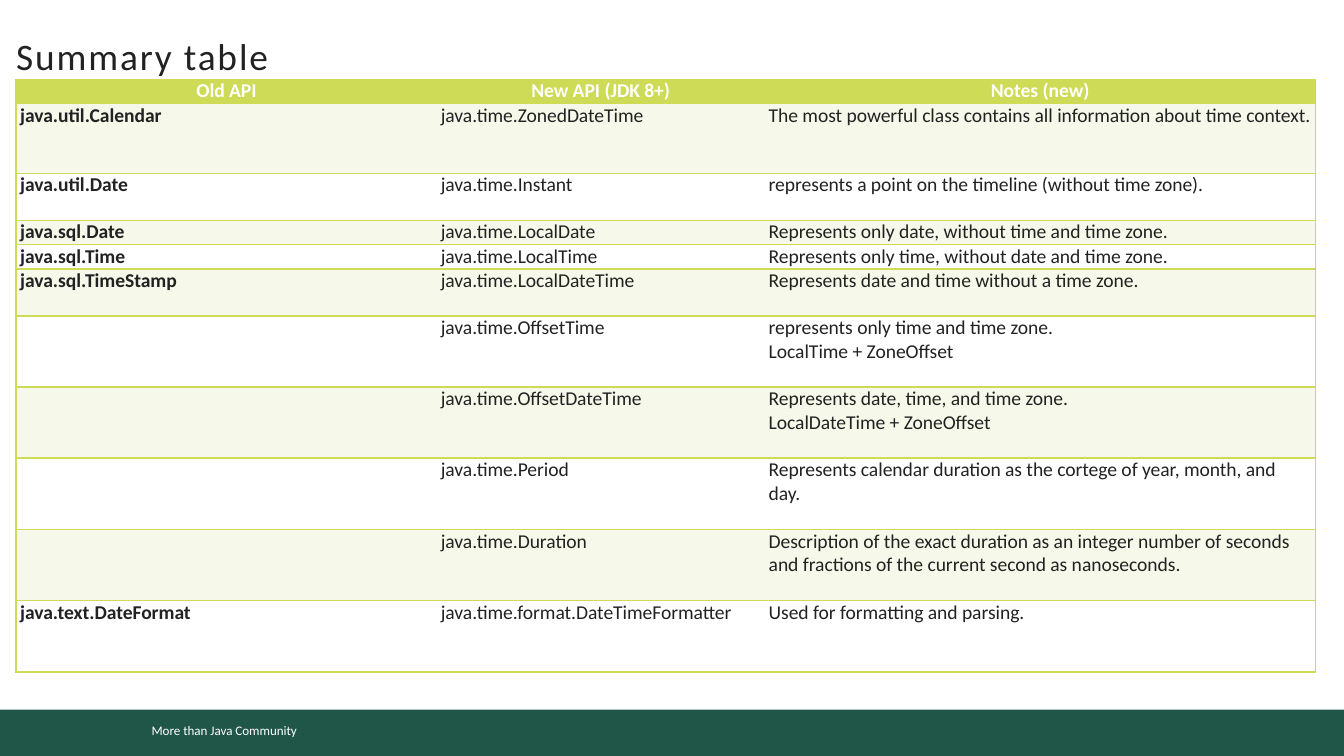
from lxml import etree
from pptx import Presentation
from pptx.dml.color import RGBColor
from pptx.enum.shapes import MSO_SHAPE
from pptx.enum.text import MSO_ANCHOR, PP_ALIGN
from pptx.oxml.ns import qn
from pptx.util import Inches, Pt

RECTANGLE = MSO_SHAPE.RECTANGLE
MIDDLE, TOP = MSO_ANCHOR.MIDDLE, MSO_ANCHOR.TOP
LEFT, CENTER = PP_ALIGN.LEFT, PP_ALIGN.CENTER

FONT = "Calibri"
WHITE = RGBColor(0xFF, 0xFF, 0xFF)
INK = RGBColor(0x22, 0x22, 0x22)
FOREST = RGBColor(0x20, 0x56, 0x48)
LIME = RGBColor(0xCE, 0xDB, 0x56)
PALE_LIME = RGBColor(0xF6, 0xF8, 0xE9)

COLUMN_WIDTHS = [3.13, 2.44, 4.1]
ONE_LINE, TWO_LINES, THREE_LINES = 0.18, 0.35, 0.53

# Row height, old API, new API, lines of the notes
ROWS = [
    (ONE_LINE, "Old API", "New API (JDK 8+)", ["Notes (new)"]),
    (0.52, "java.util.Calendar", "java.time.ZonedDateTime",
     ["The most powerful class contains all information about time context."]),
    (TWO_LINES, "java.util.Date", "java.time.Instant",
     ["represents a point on the timeline (without time zone)."]),
    (ONE_LINE, "java.sql.Date", "java.time.LocalDate",
     ["Represents only date, without time and time zone."]),
    (ONE_LINE, "java.sql.Time", "java.time.LocalTime",
     ["Represents only time, without date and time zone."]),
    (TWO_LINES, "java.sql.TimeStamp", "java.time.LocalDateTime",
     ["Represents date and time without a time zone."]),
    (THREE_LINES, "", "java.time.OffsetTime",
     ["represents only time and time zone.", "LocalTime + ZoneOffset"]),
    (THREE_LINES, "", "java.time.OffsetDateTime",
     ["Represents date, time, and time zone.", "LocalDateTime + ZoneOffset"]),
    (THREE_LINES, "", "java.time.Period",
     ["Represents calendar duration as the cortege of year, month, and day."]),
    (THREE_LINES, "", "java.time.Duration",
     ["Description of the exact duration as an integer number of seconds "
      "and fractions of the current second as nanoseconds."]),
    (THREE_LINES, "java.text.DateFormat", "java.time.format.DateTimeFormatter",
     ["Used for formatting and parsing."]),
]


def write_lines(frame, lines, size, color, bold=False, align=LEFT):
    """Write each line as a paragraph of one run and return the runs."""
    spans = []
    for index, line in enumerate(lines):
        para = frame.add_paragraph() if index else frame.paragraphs[0]
        para.alignment = align
        span = para.add_run()
        span.text = line
        span.font.name = FONT
        span.font.size = Pt(size)
        span.font.bold = bold
        span.font.color.rgb = color
        spans.append(span)
    return spans


def add_bar(page, left, top, width, height):
    bar = page.shapes.add_shape(RECTANGLE, Inches(left), Inches(top),
                                Inches(width), Inches(height))
    bar.shadow.inherit = False
    bar.fill.solid()
    bar.fill.fore_color.rgb = FOREST
    bar.line.fill.background()
    return bar


def add_footer(page):
    add_bar(page, 0, 5.28, 10, 0.35)
    label = add_bar(page, 1.03, 5.33, 2.65, 0.22)
    label.text_frame.vertical_anchor = TOP
    write_lines(label.text_frame, ["More than Java Community"], 7, WHITE)


def add_title(page, text):
    box = page.shapes.add_textbox(Inches(0.12), Inches(0.25),
                                  Inches(9.49), Inches(0.33))
    frame = box.text_frame
    frame.word_wrap = True
    frame.vertical_anchor = MIDDLE
    frame.margin_left = frame.margin_right = 0
    for span in write_lines(frame, [text], 20, INK):
        span.font._element.set("spc", "100")


def set_borders(cell, column):
    """Rule every row, and close the table at its outer sides only."""
    ruled = {"lnL": column == 0, "lnR": column == len(COLUMN_WIDTHS) - 1,
             "lnT": True, "lnB": True}
    properties = cell._tc.get_or_add_tcPr()
    for side, visible in ruled.items():
        line = etree.SubElement(properties, qn("a:" + side), w=str(Pt(1)))
        if visible:
            fill = etree.SubElement(line, qn("a:solidFill"))
            etree.SubElement(fill, qn("a:srgbClr"), val=str(LIME))
        else:
            etree.SubElement(line, qn("a:noFill"))


def fill_cell(cell, lines, row, column):
    is_header = row == 0
    cell.margin_left = cell.margin_right = Inches(0.03)
    cell.margin_top = cell.margin_bottom = 0
    set_borders(cell, column)
    cell.fill.solid()
    banding = PALE_LIME if row % 2 else WHITE
    cell.fill.fore_color.rgb = LIME if is_header else banding
    if any(lines):
        write_lines(cell.text_frame, lines, 10.5,
                    WHITE if is_header else INK,
                    bold=is_header or column == 0,
                    align=CENTER if is_header else LEFT)


def add_summary_table(page):
    height = sum(row[0] for row in ROWS)
    frame = page.shapes.add_table(
        len(ROWS), len(COLUMN_WIDTHS), Inches(0.12), Inches(0.59),
        Inches(sum(COLUMN_WIDTHS)), Inches(height))
    table = frame.table
    for column, width in zip(table.columns, COLUMN_WIDTHS):
        column.width = Inches(width)
    for row, (row_height, old_api, new_api, notes) in enumerate(ROWS):
        table.rows[row].height = Inches(row_height)
        for column, lines in enumerate([[old_api], [new_api], notes]):
            fill_cell(table.cell(row, column), lines, row, column)


def main():
    deck = Presentation()
    # Widescreen page, 16 to 9
    deck.slide_width = Inches(10)
    deck.slide_height = Inches(10 * 9 / 16)
    page = deck.slides.add_slide(deck.slide_layouts[6])
    add_footer(page)
    add_title(page, "Summary table")
    add_summary_table(page)
    deck.save("out.pptx")


if __name__ == "__main__":
    main()
